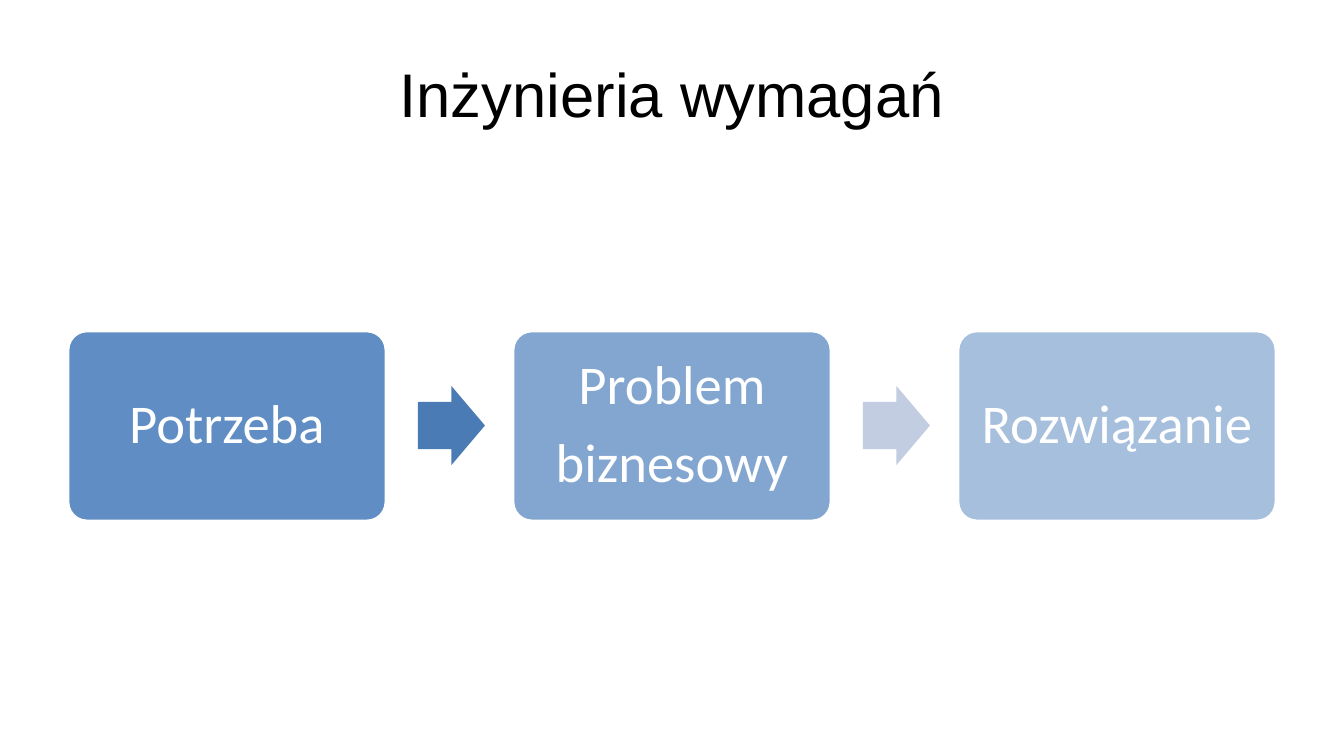
"""Build the requirements engineering slide: three steps joined by arrows."""
from lxml.etree import SubElement
from pptx import Presentation
from pptx.dml.color import RGBColor
from pptx.enum.shapes import MSO_SHAPE
from pptx.enum.text import MSO_ANCHOR, PP_ALIGN
from pptx.oxml.ns import qn
from pptx.util import Pt

PX = 914400 / 100.8
STEP_PITCH = 445
STEPS = [("Potrzeba", 90), ("Problem\nbiznesowy", 70), ("Rozwiązanie", 50)]
ARROW_COLOURS = ["4B7BB5", "C2CDE1"]


def px(*lengths):
    return [round(length * PX) for length in lengths]


def paint(colour_format, colour):
    colour_format.rgb = RGBColor.from_string(colour)


deck = Presentation()
deck.slide_width, deck.slide_height = px(1344, 756)
page = deck.slides.add_slide(deck.slide_layouts[6])

title = page.shapes.add_textbox(*px(67, 30, 1210, 126))
frame = title.text_frame
frame.word_wrap = True
frame.vertical_anchor = MSO_ANCHOR.MIDDLE
frame.text = "Inżynieria wymagań"
para = frame.paragraphs[0]
para.alignment = PP_ALIGN.CENTER
span = para.runs[0]
span.font.name = "Arial"
span.font.size = Pt(44)
paint(span.font.color, "000000")

for index, (label, opacity) in enumerate(STEPS):
    box = page.shapes.add_shape(
        MSO_SHAPE.ROUNDED_RECTANGLE, *px(68 + index * STEP_PITCH, 331, 318, 190))
    box.adjustments[0] = 0.1
    box.shadow.inherit = False
    box.fill.solid()
    paint(box.fill.fore_color, "4F81BD")
    fill_colour = box.fill._xPr.find(qn("a:solidFill"))[0]
    SubElement(fill_colour, qn("a:alpha"), val=str(opacity * 1000))
    paint(box.line.color, "FFFFFF")
    box.line.width = Pt(2)

    frame = box.text_frame
    frame.word_wrap = True
    frame.vertical_anchor = MSO_ANCHOR.MIDDLE
    frame.margin_left, frame.margin_right = px(12, 12)
    frame.margin_top, frame.margin_bottom = px(12, 12)
    frame.text = label
    for para in frame.paragraphs:
        para.alignment = PP_ALIGN.CENTER
        para.line_spacing = 0.9
        para.space_after = Pt(13.65)
        span = para.runs[0]
        span.font.name = "Calibri"
        span.font.size = Pt(39)
        paint(span.font.color, "FFFFFF")

for index, colour in enumerate(ARROW_COLOURS):
    arrow = page.shapes.add_shape(
        MSO_SHAPE.RIGHT_ARROW, *px(418 + index * STEP_PITCH, 386, 67, 79))
    arrow.adjustments[0] = 0.6
    arrow.adjustments[1] = 0.5
    arrow.shadow.inherit = False
    arrow.fill.solid()
    paint(arrow.fill.fore_color, colour)
    arrow.line.fill.background()

deck.save("out.pptx")
